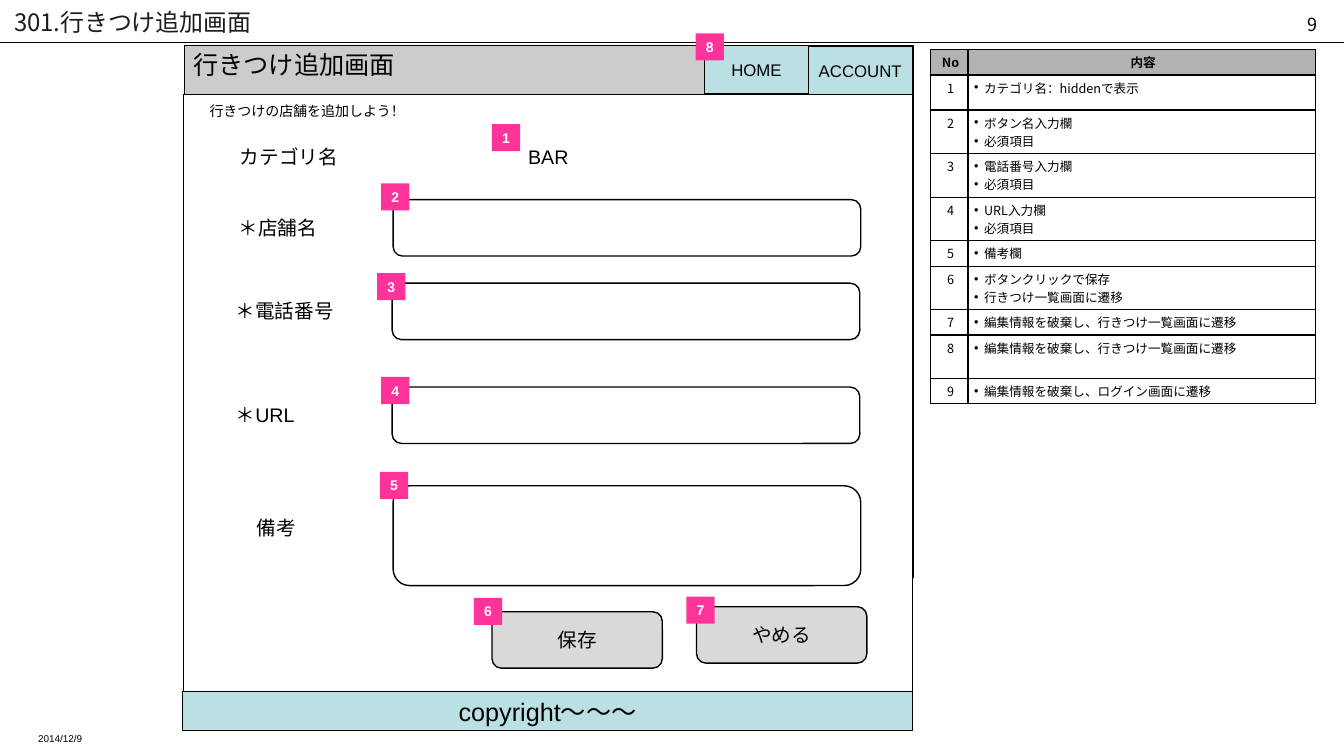
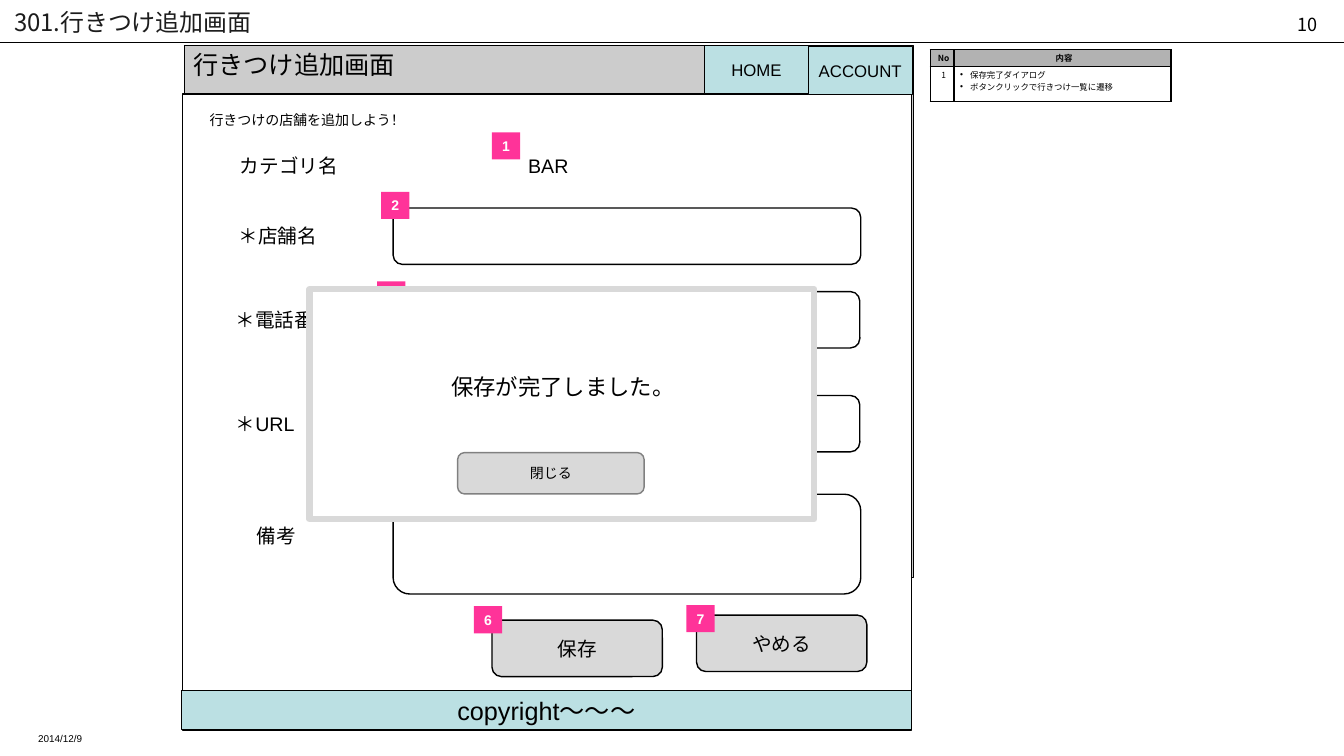
import pptx
import pptx.dml.color
import pptx.enum.shapes
import pptx.enum.text
import pptx.oxml.ns
import pptx.util
from lxml import etree

Pt = pptx.util.Pt
RGBColor = pptx.dml.color.RGBColor
SHAPE = pptx.enum.shapes.MSO_SHAPE
ALIGN = pptx.enum.text.PP_ALIGN
ANCHOR = pptx.enum.text.MSO_ANCHOR
AUTO_SIZE = pptx.enum.text.MSO_AUTO_SIZE
qn = pptx.oxml.ns.qn

# Colours
BLACK = RGBColor(0x00, 0x00, 0x00)
WHITE = RGBColor(0xFF, 0xFF, 0xFF)
TITLE_INK = RGBColor(0x1C, 0x1C, 0x1C)
HEADER_GRAY = RGBColor(0xCC, 0xCC, 0xCC)
BUTTON_GRAY = RGBColor(0xD9, 0xD9, 0xD9)
EDGE_GRAY = RGBColor(0x80, 0x80, 0x80)
TABLE_GRAY = RGBColor(0xB2, 0xB2, 0xB2)
PALE_BLUE = RGBColor(0xBB, 0xE0, 0xE3)
PINK = RGBColor(0xFF, 0x33, 0x99)

# Fonts and shared sizes
ARIAL = "Arial"
NOTO = "Noto Sans CJK JP"
SCREEN_NAME = "行きつけ追加画面"
LABEL_SIZE = (108, 24)
BUTTON_SIZE = (121.7, 40.3)
BADGE_SIZE = (20.2, 19.4)
FIELD_WIDTH = 334.1
WIDE_INSETS = (10, 5, 10, 5)
PLAIN_INSETS = (7.2, 3.6, 7.2, 3.6)

# Form content: text, left, top
LABELS = [
    ("カテゴリ名", 164.2, 100.1),
    ("＊店舗名", 163.4, 150.5),
    ("＊電話番号", 161.3, 210.2),
    ("＊URL", 161.3, 284.4),
    ("備考", 176.4, 365),
]
# Left, top, height
FIELDS = [
    (280.8, 142.6, 40.3),
    (280.1, 202.3, 40.3),
    (280.1, 276.5, 40.3),
    (280.8, 347, 71.3),
]
BUTTONS = [("保存", 351.4, 437), ("やめる", 497.5, 433.4)]
BADGES = {
    1: (351.4, 88.6),
    2: (272.2, 131),
    3: (269.3, 195.1),
    4: (272.2, 269.3),
    5: (271.4, 337),
    6: (338.4, 427),
    7: (490.3, 426.2),
}

# Table content: row height, bullet lines
FORM_NOTES = [
    (25, ["カテゴリ名：hiddenで表示"]),
    (31, ["ボタン名入力欄", "必須項目"]),
    (31, ["電話番号入力欄", "必須項目"]),
    (31, ["URL入力欄", "必須項目"]),
    (18, ["備考欄"]),
    (31, ["ボタンクリックで保存", "行きつけ一覧画面に遷移"]),
    (18, ["編集情報を破棄し、行きつけ一覧画面に遷移"]),
    (31, ["編集情報を破棄し、行きつけ一覧画面に遷移"]),
    (18, ["編集情報を破棄し、ログイン画面に遷移"]),
]
DIALOG_NOTES = [(25, ["保存完了ダイアログ", "ボタンクリックで行きつけ一覧に遷移"])]


def set_values(target, values):
    for name, value in values.items():
        setattr(target, name, value)


def write_paragraph(paragraph, text, size, font=ARIAL, color=BLACK,
                    bold=False, align=ALIGN.LEFT):
    paragraph.alignment = align
    run = paragraph.add_run()
    run.text = text
    set_values(run.font, {"size": Pt(size), "name": font, "bold": bold})
    run.font.color.rgb = color
    etree.SubElement(run.font._element, qn("a:ea"), typeface=NOTO)


def write_frame(frame, text, size, anchor=ANCHOR.TOP, wrap=True,
                insets=PLAIN_INSETS, **style):
    left, top, right, bottom = insets
    set_values(frame, {
        "auto_size": AUTO_SIZE.NONE, "word_wrap": wrap, "vertical_anchor": anchor,
        "margin_left": Pt(left), "margin_top": Pt(top),
        "margin_right": Pt(right), "margin_bottom": Pt(bottom),
    })
    write_paragraph(frame.paragraphs[0], text, size, **style)


def add_text(slide, box, text, size, **style):
    caption = slide.shapes.add_textbox(*map(Pt, box))
    write_frame(caption.text_frame, text, size, **style)


def add_box(slide, box, fill, line=BLACK, weight=1, kind=SHAPE.RECTANGLE,
            text="", size=14, **style):
    panel = slide.shapes.add_shape(kind, *map(Pt, box))
    panel.shadow.inherit = False
    panel.fill.solid()
    panel.fill.fore_color.rgb = fill
    if line is None:
        panel.line.fill.background()
    else:
        panel.line.color.rgb = line
        panel.line.width = Pt(weight)
    if text:
        write_frame(panel.text_frame, text, size, anchor=ANCHOR.MIDDLE,
                    align=ALIGN.CENTER, **style)


def add_badge(slide, number, left, top):
    add_box(slide, (left, top, *BADGE_SIZE), PINK, line=None, text=str(number),
            size=10, color=WHITE, bold=True, wrap=False)


def add_bar(slide, box, text, size):
    add_box(slide, box, PALE_BLUE, weight=0.75, text=text, size=size, wrap=False)


# Table
def format_cell(cell, fill, size):
    pad = Pt(round(size * 0.28, 2))
    set_values(cell, {"margin_left": Pt(4.3), "margin_right": Pt(2.2),
                      "margin_top": pad, "margin_bottom": pad})
    cell.fill.solid()
    cell.fill.fore_color.rgb = fill
    properties = cell._tc.get_or_add_tcPr()
    for index, side in enumerate(("lnL", "lnR", "lnT", "lnB")):
        border = etree.Element(qn(f"a:{side}"), w=str(Pt(1)))
        ink = etree.SubElement(border, qn("a:solidFill"))
        etree.SubElement(ink, qn("a:srgbClr"), val=str(BLACK))
        properties.insert(index, border)


def write_bullets(frame, lines, size):
    for index, line in enumerate(lines):
        paragraph = frame.add_paragraph() if index else frame.paragraphs[0]
        write_paragraph(paragraph, line, size, font=NOTO)
        properties = paragraph._p.get_or_add_pPr()
        properties.set("marL", str(Pt(7.2)))
        properties.set("indent", str(-Pt(7.2)))
        etree.SubElement(properties, qn("a:buFont"), typeface=ARIAL)
        etree.SubElement(properties, qn("a:buChar"), char="•")


def add_notes_table(slide, notes, widths, header_height, size):
    heights = [header_height] + [height for height, _ in notes]
    box = (664.5, 35.5, sum(widths), sum(heights))
    table = slide.shapes.add_table(len(heights), 2, *map(Pt, box)).table
    set_values(table, {"first_row": False, "horz_banding": False})
    for column, width in zip(table.columns, widths):
        column.width = Pt(width)
    for row, height in zip(table.rows, heights):
        row.height = Pt(height)
    for column, heading in enumerate(("No", "内容")):
        cell = table.cell(0, column)
        format_cell(cell, TABLE_GRAY, size)
        write_paragraph(cell.text_frame.paragraphs[0], heading, size,
                        font=NOTO, bold=True, align=ALIGN.CENTER)
    for number, (_, lines) in enumerate(notes, 1):
        number_cell, note_cell = table.cell(number, 0), table.cell(number, 1)
        for cell in (number_cell, note_cell):
            format_cell(cell, WHITE, size)
        write_paragraph(number_cell.text_frame.paragraphs[0], str(number), size,
                        font=NOTO, align=ALIGN.CENTER)
        write_bullets(note_cell.text_frame, lines, size)


# Parts that every slide shares
def add_page(deck, page_number):
    slide = deck.slides.add_slide(deck.slide_layouts[5])
    title = slide.shapes.title
    set_values(title, {"left": Pt(0), "top": Pt(2.9),
                       "width": Pt(864), "height": Pt(25.2)})
    write_frame(title.text_frame, "301." + SCREEN_NAME, 17.1, font=NOTO,
                color=TITLE_INK, anchor=ANCHOR.MIDDLE, insets=WIDE_INSETS)
    rule = slide.shapes.add_connector(
        pptx.enum.shapes.MSO_CONNECTOR.STRAIGHT, *map(Pt, (0, 30.2, 960, 30.2)))
    rule.line.color.rgb = BLACK
    rule.line.width = Pt(0.75)
    etree.SubElement(rule._element.spPr, qn("a:effectLst"))
    add_text(slide, (724.3, 6.1, 224, 11), str(page_number), 12.9, font=NOTO,
             align=ALIGN.RIGHT)
    add_text(slide, (17.3, 518.4, 224, 11), "2014/12/9", 7.1, insets=WIDE_INSETS)
    return slide


def add_screen(slide, badges, frame_left, frame_top, form_shift=0):
    # Window
    add_box(slide, (131.8, 32.4, 520.6, 380.2), HEADER_GRAY)
    add_box(slide, (frame_left, frame_top, 520.6, 454.3), WHITE)
    add_text(slide, (131, 31.7, 198.7, 28.8), SCREEN_NAME, 18)
    # Form
    add_text(slide, (142.6, 69.8 + form_shift, 208, 19.4),
             "行きつけの店舗を追加しよう！", 10)
    for text, left, top in LABELS:
        add_text(slide, (left, top + form_shift, *LABEL_SIZE), text, 14)
    add_text(slide, (337.7, 100.1 + form_shift, *LABEL_SIZE), "BAR", 14,
             align=ALIGN.CENTER)
    for left, top, height in FIELDS:
        add_box(slide, (left, top + form_shift, FIELD_WIDTH, height), WHITE,
                kind=SHAPE.ROUNDED_RECTANGLE)
    for text, left, top in BUTTONS:
        add_box(slide, (left, top + form_shift, *BUTTON_SIZE), BUTTON_GRAY,
                kind=SHAPE.ROUNDED_RECTANGLE, text=text)
    for number in badges:
        left, top = BADGES[number]
        add_badge(slide, number, left, top + form_shift)
    # Footer and navigation
    add_bar(slide, (frame_left - 0.7, frame_top + 426.2, 521.3, 28.1),
            "copyright～～～", 18)
    add_bar(slide, (577.4, 33.1, 74.2, 34.6), "ACCOUNT", 12)
    add_bar(slide, (503.3, 32.4, 74.2, 34.6), "HOME", 12)


def add_saved_dialog(slide):
    add_box(slide, (221, 206.6, 360.7, 164.2), WHITE, line=BUTTON_GRAY, weight=4.5)
    add_box(slide, (326.9, 323.3, 133.2, 29.5), BUTTON_GRAY, line=EDGE_GRAY,
            kind=SHAPE.ROUNDED_RECTANGLE, text="閉じる", size=10)
    add_box(slide, (247, 240.5, 310.3, 70.6), WHITE, line=None,
            text="保存が完了しました。", size=16, font=NOTO)


def main():
    deck = pptx.Presentation()
    set_values(deck, {"slide_width": Pt(960), "slide_height": Pt(540)})

    # Input form
    form = add_page(deck, 9)
    add_screen(form, BADGES, 131.2, 67.7)
    add_badge(form, 8, 496.8, 23.8)
    add_notes_table(form, FORM_NOTES, (27, 248), 18, 9)

    # Form with the saved dialog
    saved = add_page(deck, 10)
    add_screen(saved, (1, 2, 3, 6, 7), 130.3, 67, form_shift=6)
    add_saved_dialog(saved)
    add_notes_table(saved, DIALOG_NOTES, (17, 155), 12, 6)

    deck.save("out.pptx")


if __name__ == "__main__":
    main()
